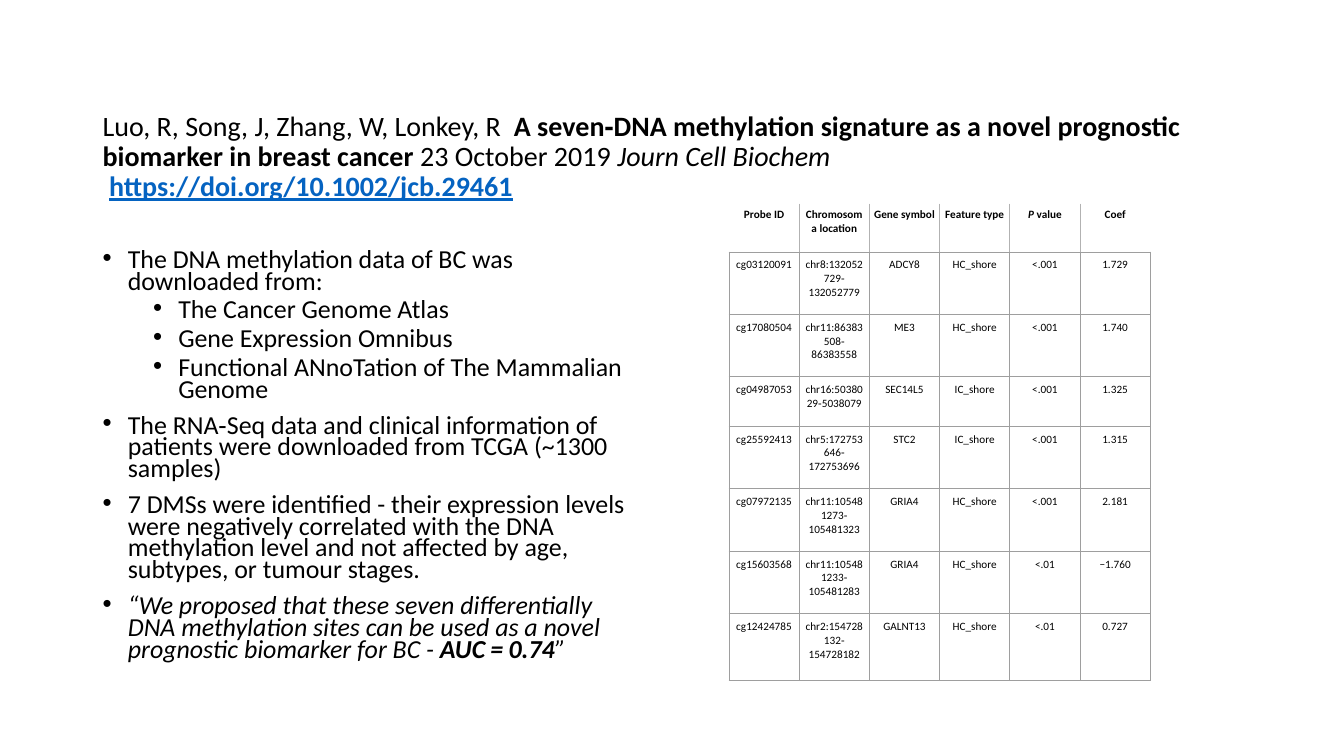
from lxml import etree
from pptx import Presentation
from pptx import util as u
from pptx.dml.color import RGBColor
from pptx.enum import text
from pptx.oxml.ns import qn

BLACK = RGBColor(0, 0, 0)
WHITE = RGBColor(0xFF, 0xFF, 0xFF)
LINK_BLUE = RGBColor(0x05, 0x63, 0xC1)
GRID_GREY = RGBColor(0x9E, 0x9E, 0x9E)
HEADER_GREY = RGBColor(0xB2, 0xB2, 0xB2)
FONT = "Calibri"

CITATION = [
    ("Luo, R, Song, J, Zhang, W, Lonkey, R\u00a0 ", {}),
    ("A seven‐DNA methylation signature as a novel prognostic biomarker in breast cancer ", {"bold": True}),
    ("23 October 2019 ", {}),
    ("Journ Cell Biochem", {"italic": True}),
    ("\n", {}),
    ("\u00a0", {"italic": True}),
    ("https://doi.org/10.1002/jcb.29461", {"bold": True, "underline": True, "color": LINK_BLUE}),
]
FINDINGS = [
    (0, [("The DNA methylation data of BC was downloaded from:", {})]),
    (1, [("The Cancer Genome Atlas", {})]),
    (1, [("Gene Expression Omnibus", {})]),
    (1, [("Functional ANnoTation of The Mammalian Genome", {})]),
    (0, [("The RNA‐Seq data and clinical information of patients were downloaded "
          "from TCGA (~1300 samples)", {})]),
    (0, [("7 DMSs were identified - their expression levels were negatively correlated with "
          "the DNA methylation level and not affected by age, subtypes, or tumour stages.", {})]),
    (0, [("“We proposed that these seven differentially DNA methylation sites can be used "
          "as a novel prognostic biomarker for BC - ", {"italic": True}),
         ("AUC\u2009=\u20090.74", {"italic": True, "bold": True}),
         ("”", {"italic": True})]),
]
HEADINGS = [
    [("Probe ID", {})], [("Chromosoma location", {})], [("Gene symbol", {})],
    [("Feature type", {})], [("P", {"italic": True}), ("\u00a0value", {})], [("Coef", {})],
]
PROBES = [
    ("cg03120091", "chr8:132052729‐132052779", "ADCY8", "HC_shore", "<.001", "1.729"),
    ("cg17080504", "chr11:86383508‐86383558", "ME3", "HC_shore", "<.001", "1.740"),
    ("cg04987053", "chr16:5038029‐5038079", "SEC14L5", "IC_shore", "<.001", "1.325"),
    ("cg25592413", "chr5:172753646‐172753696", "STC2", "IC_shore", "<.001", "1.315"),
    ("cg07972135", "chr11:105481273‐105481323", "GRIA4", "HC_shore", "<.001", "2.181"),
    ("cg15603568", "chr11:105481233‐105481283", "GRIA4", "HC_shore", "<.01", "−1.760"),
    ("cg12424785", "chr2:154728132‐154728182", "GALNT13", "HC_shore", "<.01", "0.727"),
]
ROW_HEIGHTS = [0.48, 0.62, 0.62, 0.49, 0.62, 0.62, 0.62, 0.66]


def write(paragraph, content, size, bold=False, italic=False, underline=False, color=BLACK):
    if content == "\n":
        paragraph.add_line_break()
        return
    run = paragraph.add_run()
    run.text = content
    font = run.font
    font.name, font.size = FONT, u.Pt(size)
    font.bold, font.italic, font.underline = bold, italic, underline
    font.color.rgb = color


def add_frame(slide, box, anchor):
    frame = slide.shapes.add_textbox(*map(u.Inches, box)).text_frame
    frame.word_wrap = True
    frame.vertical_anchor = anchor
    return frame


def add_bullet(paragraph, left):
    properties = paragraph._p.get_or_add_pPr()
    properties.set("marL", str(u.Inches(left)))
    properties.set("indent", str(u.Inches(-0.25)))
    etree.SubElement(properties, qn("a:buFont"), typeface="Arial")
    etree.SubElement(properties, qn("a:buChar"), char="•")


def set_borders(cell, **sides):
    properties = cell._tc.get_or_add_tcPr()
    for side in "LRTB":
        color = sides.get(side)
        line = etree.SubElement(properties, qn(f"a:ln{side}"), w=str(u.Pt(0.75)))
        if color is None:
            etree.SubElement(line, qn("a:noFill"))
        else:
            fill = etree.SubElement(line, qn("a:solidFill"))
            etree.SubElement(fill, qn("a:srgbClr"), val=str(color))


def citation_title(slide, box):
    paragraph = add_frame(slide, box, text.MSO_ANCHOR.MIDDLE).paragraphs[0]
    paragraph.line_spacing = 0.9
    for content, style in CITATION:
        write(paragraph, content, 20, **style)


def findings_list(slide, box):
    frame = add_frame(slide, box, text.MSO_ANCHOR.TOP)
    for index, (level, runs) in enumerate(FINDINGS):
        paragraph = frame.add_paragraph() if index else frame.paragraphs[0]
        paragraph.level = level
        paragraph.line_spacing = 0.7
        paragraph.space_before = u.Pt((5 if level else 10) if index else 0)
        add_bullet(paragraph, 0.25 + 0.5 * level)
        for content, style in runs:
            write(paragraph, content, 18.5, **style)


def fill_cell(cell, runs, margins, borders, bold=False):
    cell.margin_left, cell.margin_right, cell.margin_top, cell.margin_bottom = map(u.Inches, margins)
    set_borders(cell, **borders)
    cell.fill.solid()
    cell.fill.fore_color.rgb = WHITE
    paragraph = cell.text_frame.paragraphs[0]
    paragraph.alignment = text.PP_ALIGN.CENTER
    for content, style in runs:
        write(paragraph, content, 8, bold=bold, **style)


def probe_table(slide, box):
    columns = len(HEADINGS)
    table = slide.shapes.add_table(len(ROW_HEIGHTS), columns, *map(u.Inches, box)).table
    table.first_row = table.horz_banding = False
    for row, height in zip(table.rows, ROW_HEIGHTS):
        row.height = u.Inches(height)
    for column in table.columns:
        column.width = u.Inches(box[2] / columns)
    for index, heading in enumerate(HEADINGS):
        borders = {"L": HEADER_GREY if index else None,
                   "R": HEADER_GREY if index < columns - 1 else None,
                   "B": GRID_GREY}
        fill_cell(table.cell(0, index), heading, [0.04] * 4, borders, bold=True)
    for row, probe in enumerate(PROBES, 1):
        bottom = 0.06 if row == len(PROBES) else 0.02
        for index, value in enumerate(probe):
            fill_cell(table.cell(row, index), [(value, {})], [0.06, 0.06, 0.06, bottom],
                      dict.fromkeys("LRTB", GRID_GREY))


def main():
    deck = Presentation()
    deck.slide_width, deck.slide_height = u.Inches(13.33), u.Inches(7.5)
    slide = deck.slides.add_slide(deck.slide_layouts[6])
    citation_title(slide, (0.92, 1.06, 11.5, 1))
    findings_list(slide, (0.92, 2.44, 5.54, 4.32))
    probe_table(slide, (7.23, 2.02, 4.18, sum(ROW_HEIGHTS)))
    deck.save("out.pptx")


if __name__ == "__main__":
    main()
